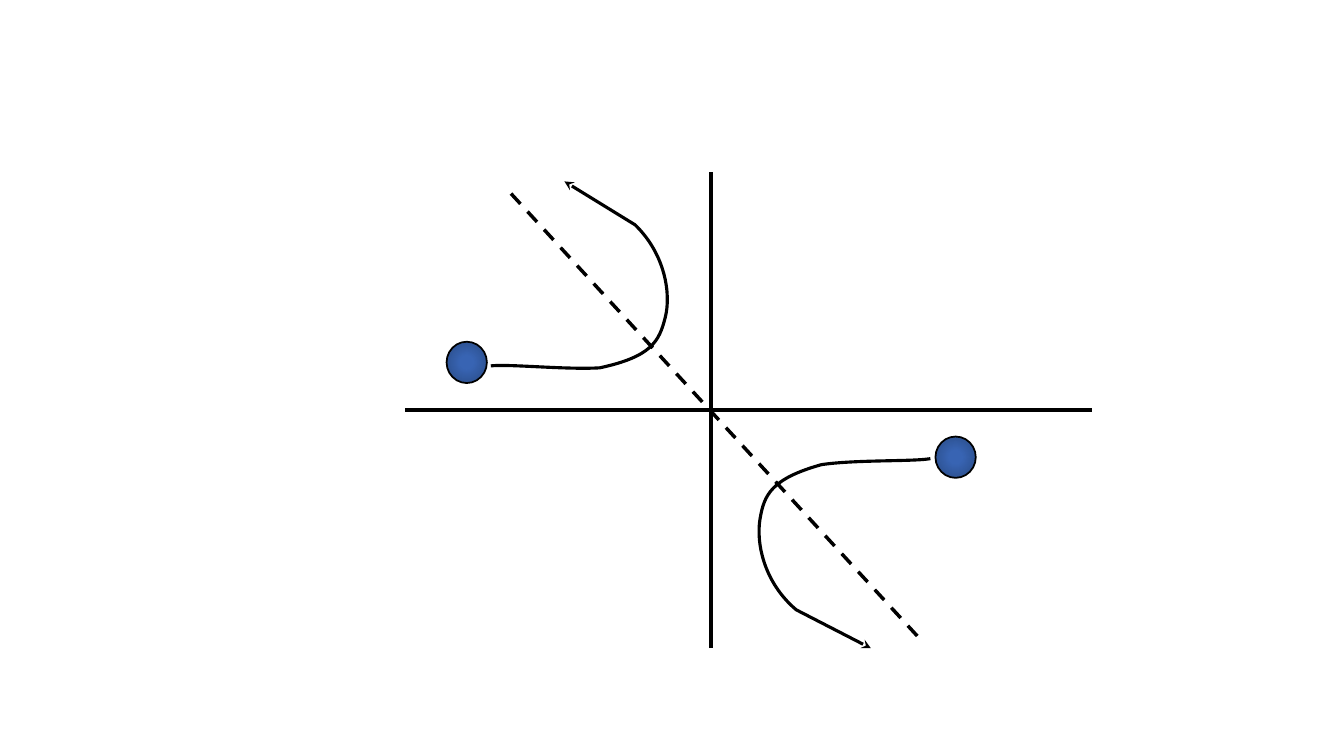
"""Draw two balls swerving apart on either side of a dashed diagonal."""
from dataclasses import dataclass

from lxml.etree import SubElement
from pptx import Presentation
from pptx.dml.color import RGBColor as Rgb
from pptx.enum.dml import MSO_LINE as Dash
from pptx.enum.shapes import MSO_CONNECTOR as Connector, MSO_SHAPE as Preset
from pptx.oxml.ns import qn
from pptx.util import Pt

Point = tuple[float, float]


@dataclass(frozen=True)
class Theme:
    ink: str = "000000"
    ball_stops: tuple = ((0, "3864B3"), (23, "3864B3"), (69, "2F5597"), (97, "2C4F8C"))
    axis_width: float = 3
    diagonal_width: float = 2.5
    track_width: float = 2.25
    ball_outline: float = 1.25


@dataclass(frozen=True)
class Stroke:
    start: Point
    end: Point
    width: float
    dashed: bool = False


@dataclass(frozen=True)
class Ball:
    left: float
    top: float
    width: float = 28.8
    height: float = 29.5


@dataclass(frozen=True)
class Track:
    start: Point
    curves: tuple[tuple[Point, Point, Point], ...]
    tip: Point


THEME = Theme()
AXES = (
    Stroke((507.6, 463), (507.6, 123.1), THEME.axis_width),
    Stroke((779.8, 293), (289.4, 293), THEME.axis_width),
)
DIAGONAL = Stroke((655.2, 454.3), (364.3, 137.5), THEME.diagonal_width, dashed=True)
BALLS = (Ball(319, 244.1), Ball(668.2, 311.8))
TRACKS = (
    Track(
        (350.6, 261.4),
        (
            ((362.9, 259.9), (403.9, 264.2), (428.4, 262.8)),
            ((465.1, 254.9), (470.9, 244.1), (475.2, 226.8)),
            ((479.5, 210.2), (475.2, 181.4), (453.6, 160.6)),
        ),
        (403.2, 129.6),
    ),
    Track(
        (664.6, 327.6),
        (
            ((652.3, 329.8), (611.3, 328.3), (586.8, 331.9)),
            ((550.8, 342), (545.8, 353.5), (542.9, 370.8)),
            ((540, 388.1), (545.8, 416.2), (568.8, 435.6)),
        ),
        (622.1, 463),
    ),
)


def style_line(line, width: float) -> None:
    """Ink a line at the given width."""
    line.color.rgb = Rgb.from_string(THEME.ink)
    line.width = Pt(width)


def draw_stroke(shapes, stroke: Stroke) -> None:
    """Draw a straight line without a shadow."""
    ends = [Pt(value) for value in (*stroke.start, *stroke.end)]
    connector = shapes.add_connector(Connector.STRAIGHT, *ends)
    style_line(connector.line, stroke.width)
    if stroke.dashed:
        connector.line.dash_style = Dash.DASH
    SubElement(connector._element.spPr, qn("a:effectLst"))


def draw_ball(shapes, ball: Ball) -> None:
    """Draw a ball shaded outwards from its centre."""
    frame = [Pt(value) for value in (ball.left, ball.top, ball.width, ball.height)]
    oval = shapes.add_shape(Preset.OVAL, *frame)
    oval.shadow.inherit = False
    style_line(oval.line, THEME.ball_outline)
    oval.fill.gradient()
    gradient = oval._element.spPr.find(qn("a:gradFill"))
    for child in list(gradient):
        gradient.remove(child)
    stops = SubElement(gradient, qn("a:gsLst"))
    for percent, color in THEME.ball_stops:
        stop = SubElement(stops, qn("a:gs"), pos=str(percent * 1000))
        SubElement(stop, qn("a:srgbClr"), val=color)
    radial = SubElement(gradient, qn("a:path"), {"path": "circle"})
    SubElement(radial, qn("a:fillToRect"), {side: "50000" for side in "ltrb"})


def draw_track(shapes, track: Track) -> None:
    """Draw a curved track that ends in an arrowhead."""
    points = [point for curve in track.curves for point in curve] + [track.tip]
    builder = shapes.build_freeform(*map(Pt, track.start), scale=1.0)
    builder.add_line_segments([(Pt(x), Pt(y)) for x, y in points], close=False)
    outline = builder.convert_to_shape()
    outline.shadow.inherit = False
    outline.fill.background()
    style_line(outline.line, THEME.track_width)
    SubElement(outline.line._get_or_add_ln(), qn("a:tailEnd"), type="stealth")

    segments = list(outline._element.iter(qn("a:lnTo")))
    for first in range(0, 3 * len(track.curves), 3):
        controls = segments[first:first + 3]
        bezier = controls[0].makeelement(qn("a:cubicBezTo"))
        controls[0].addprevious(bezier)
        for segment in controls:
            bezier.append(segment[0])
            segment.getparent().remove(segment)


def main() -> None:
    """Build and save the slide."""
    deck = Presentation()
    deck.slide_width, deck.slide_height = Pt(960), Pt(540)
    shapes = deck.slides.add_slide(deck.slide_layouts[6]).shapes
    for axis in AXES:
        draw_stroke(shapes, axis)
    for ball in BALLS:
        draw_ball(shapes, ball)
    for track in TRACKS:
        draw_track(shapes, track)
    draw_stroke(shapes, DIAGONAL)
    deck.save("out.pptx")


if __name__ == "__main__":
    main()
